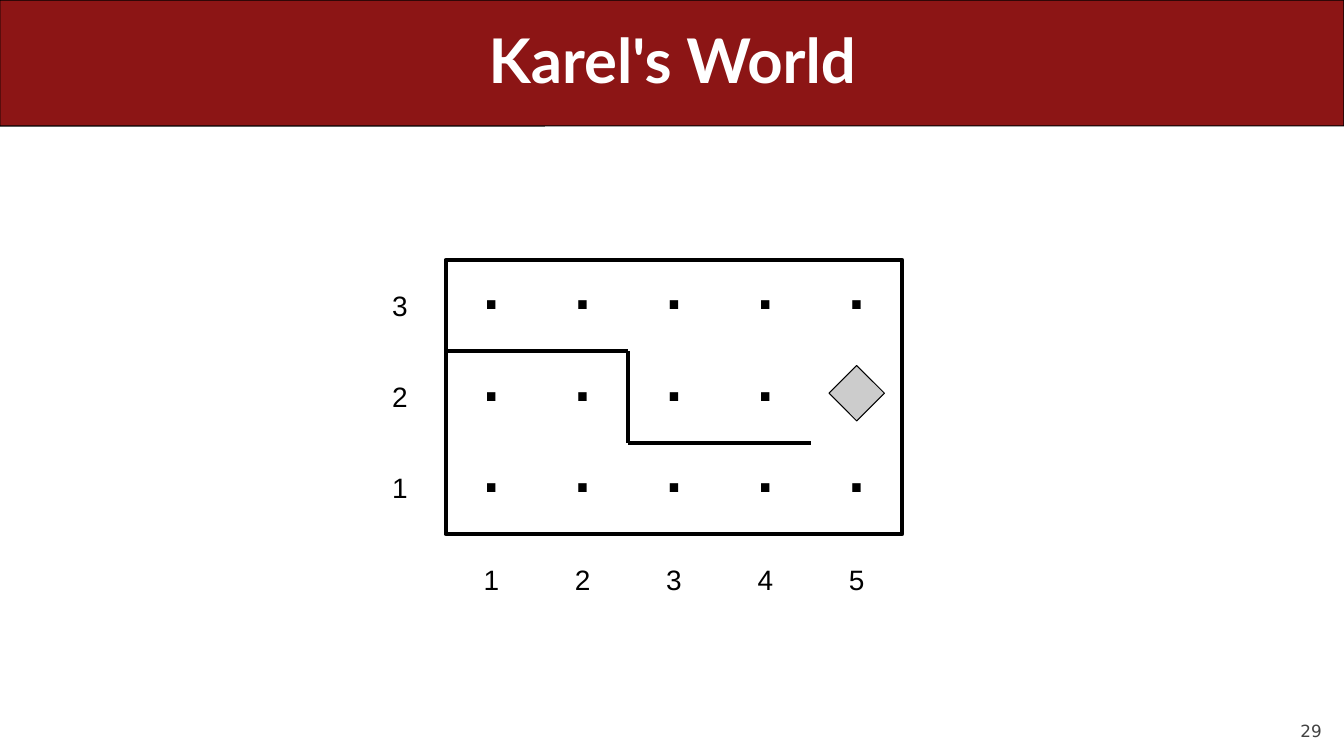
from lxml import etree
from pptx import Presentation
from pptx import util as u
from pptx.dml.color import RGBColor
from pptx.enum import shapes, text
from pptx.oxml import ns

WIDTH, HEIGHT = 13.33, 7.5
COLUMNS, ROWS = 5, 3
WORLD_LEFT, WORLD_TOP = 4.42, 2.58
CELL = 4.53 / COLUMNS
WALL = 2.89
BLACK, WHITE = "000000", "FFFFFF"
SHAPE = shapes.MSO_SHAPE
ALIGN = text.PP_ALIGN
ANCHOR = text.MSO_ANCHOR


def colour(value):
    return RGBColor.from_string(value)


def corner(column, row):
    return WORLD_LEFT + column * CELL, WORLD_TOP + row * CELL


def area(column, row, columns=1, rows=1):
    return (*corner(column, row), columns * CELL, rows * CELL)


def add_figure(page, kind, place, fill=None, line=None, weight=0.75):
    figure = page.shapes.add_shape(kind, *map(u.Inches, place))
    figure.shadow.inherit = False
    if fill:
        figure.fill.solid()
        figure.fill.fore_color.rgb = colour(fill)
    else:
        figure.fill.background()
    if line:
        figure.line.color.rgb = colour(line)
        figure.line.width = u.Pt(weight)
    else:
        figure.line.fill.background()
    return figure


def write(box, words, size, font="Arial", ink=BLACK, bold=False, align=ALIGN.CENTER,
          anchor=ANCHOR.MIDDLE, insets=(0, 0, 0, 0), wrap=True, spacing=None):
    frame = box.text_frame
    frame.text = words
    frame.word_wrap = wrap
    frame.vertical_anchor = anchor
    frame.margin_left, frame.margin_top, frame.margin_right, frame.margin_bottom = map(u.Inches, insets)
    para = frame.paragraphs[0]
    para.alignment = align
    if spacing:
        para.line_spacing = spacing
    span = para.runs[0]
    span.font.name = font
    span.font.size = u.Pt(size)
    span.font.bold = bold
    span.font.color.rgb = colour(ink)
    return span


def add_text(page, place, words, size, **style):
    box = page.shapes.add_textbox(*map(u.Inches, place))
    write(box, words, size, **style)


def add_dot(page, column, row):
    square = add_figure(page, SHAPE.RECTANGLE, area(column, row), WHITE)
    span = write(square, ".", 73, bold=True, insets=(0.09, 0.11, 0.09, 0.04), wrap=False, spacing=0.93)
    span.font._element.set("baseline", "33000")


def add_number(page, column, row, number):
    add_text(page, area(column, row), str(number), 20,
             insets=(0.09, 0.06, 0.09, 0.04), wrap=False, spacing=0.93)


def add_wall(page, start, end):
    ends = map(u.Inches, (*corner(*start), *corner(*end)))
    wall = page.shapes.add_connector(shapes.MSO_CONNECTOR.STRAIGHT, *ends)
    wall.line.color.rgb = colour(BLACK)
    wall.line.width = u.Pt(WALL)
    etree.SubElement(wall._element.spPr, ns.qn("a:effectLst"))


def add_beeper(page, column, row):
    left, top = corner(column, row)
    size = 0.55
    place = (left + (CELL - size) / 2, top + 0.14, size, size)
    add_figure(page, SHAPE.DIAMOND, place, "CCCCCC", BLACK)


def add_header(page, title):
    height = HEIGHT / 6
    banner = add_figure(page, SHAPE.ROUNDED_RECTANGLE, (0, 0, WIDTH, height), "8C1515", BLACK)
    banner.adjustments[0] = 0.001
    add_text(page, (2.17, 0, 9, height), title, 44, font="Lato", ink=WHITE, bold=True,
             insets=(0, 0.01, 0, 0), spacing=0.9)


def add_world(page):
    for column in range(COLUMNS):
        for row in reversed(range(ROWS)):
            add_dot(page, column, row)
    for row in reversed(range(ROWS)):
        add_number(page, -1, row, ROWS - row)
    for column in range(COLUMNS):
        add_number(page, column, ROWS, column + 1)
    add_beeper(page, 4, 1)
    add_figure(page, SHAPE.RECTANGLE, area(0, 0, COLUMNS, ROWS), line=BLACK, weight=WALL)
    for start, end in (((2, 1), (2, 2)), ((2, 2), (4, 2)), ((0, 1), (2, 1))):
        add_wall(page, start, end)


def main():
    deck = Presentation()
    deck.slide_width, deck.slide_height = u.Inches(WIDTH), u.Inches(HEIGHT)
    page = deck.slides.add_slide(deck.slide_layouts[6])
    add_text(page, (12, 6.95, 1.11, 0.4), "29", 12, font="DejaVu Sans", ink="424242",
             align=ALIGN.RIGHT, anchor=ANCHOR.BOTTOM)
    add_header(page, "Karel's World")
    add_world(page)
    deck.save("out.pptx")


if __name__ == "__main__":
    main()
